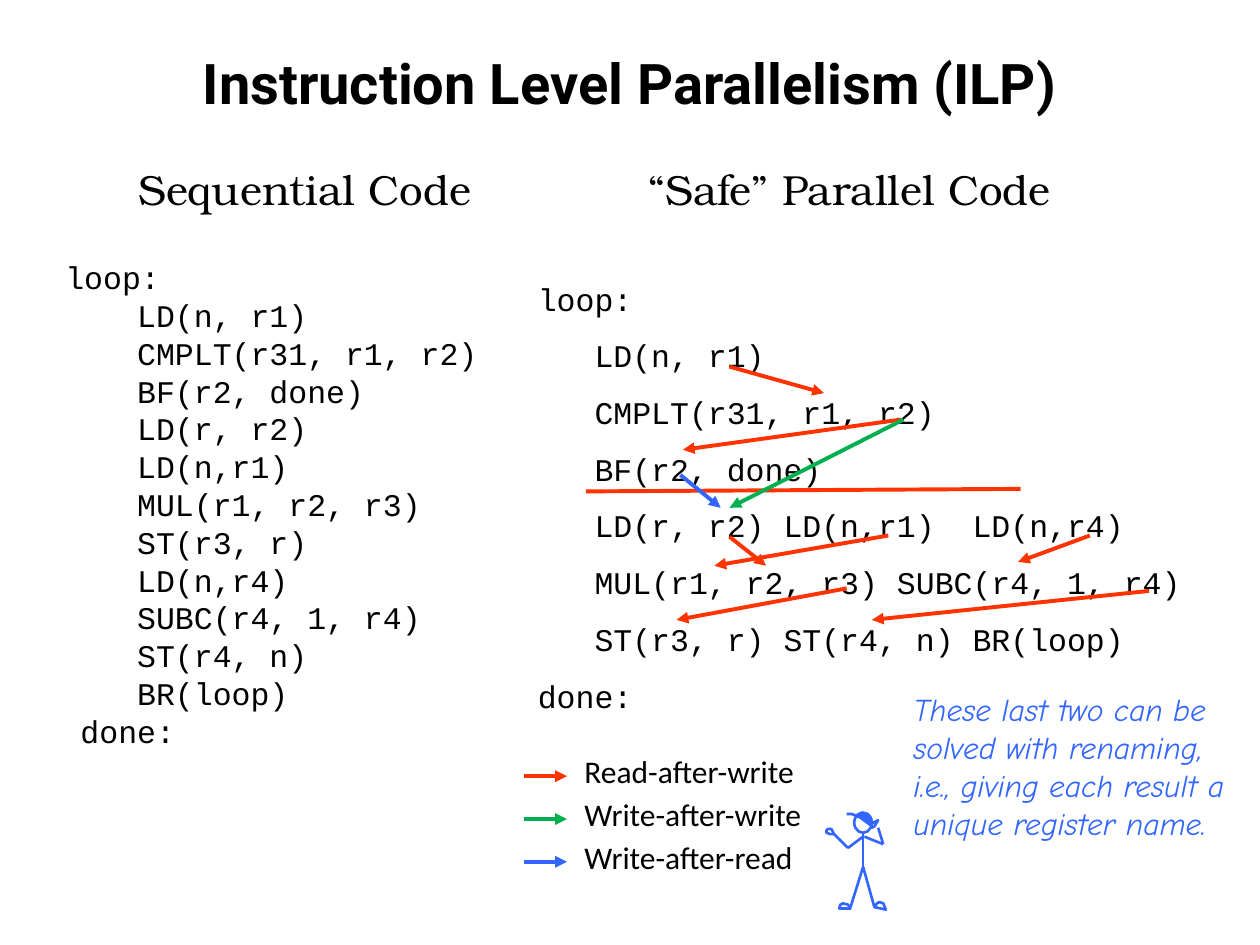
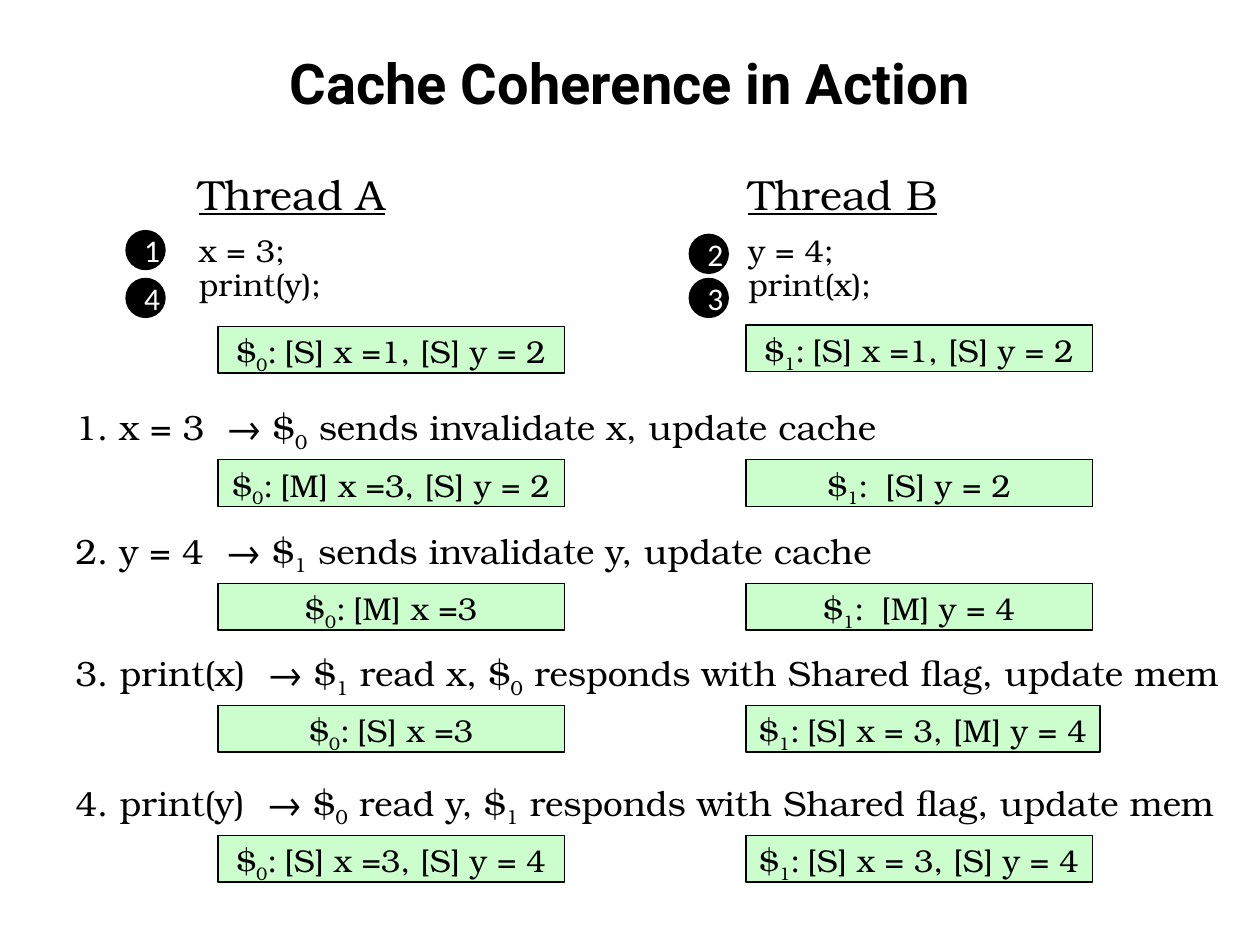
from itertools import pairwise

from lxml import etree
from pptx import Presentation
from pptx import util as u
from pptx.dml.color import RGBColor
from pptx.enum import shapes, text
from pptx.oxml.ns import qn

COLORS = {
    "ink": "000000",
    "paper": "FFFFFF",
    "read_after_write": "FF3300",
    "write_after_write": "00B050",
    "write_after_read": "3266FF",
    "figure": "3366FF",
    "cache": "CCFDCC",
}
TITLE, SERIF, CODE, NOTE, LABEL = (
    "Roboto", "TeX Gyre Bonum", "Courier New", "Comic Neue", "Calibri")


def rgb(name):
    return RGBColor.from_string(COLORS[name])


# Shared text and line helpers
def style(paragraph, font, size, color="ink", **flags):
    for run in paragraph.runs:
        run.font.name = font
        run.font.size = u.Pt(size)
        run.font.color.rgb = rgb(color)
        for flag, value in flags.items():
            setattr(run.font, flag, value)


def add_text(slide, box, content, font, size, color="ink", wrap=False, **flags):
    frame = slide.shapes.add_textbox(*map(u.Inches, box)).text_frame
    frame.text = content
    frame.word_wrap = wrap
    frame.auto_size = text.MSO_AUTO_SIZE.SHAPE_TO_FIT_TEXT
    for paragraph in frame.paragraphs:
        style(paragraph, font, size, color, **flags)
    return frame


def write_subscripts(paragraph, content, size):
    """The character after each underscore becomes a subscript."""
    first, *others = content.split("_")
    pieces = [(first, False)]
    for other in others:
        pieces += [(other[0], True), (other[1:], False)]
    for piece, lowered in pieces:
        run = paragraph.add_run()
        run.text = piece
        if lowered:
            run._r.get_or_add_rPr().set("baseline", "-25000")
    style(paragraph, SERIF, size)


def add_line(slide, start, end, color, width=2.25, arrow=False):
    line = slide.shapes.add_connector(
        shapes.MSO_CONNECTOR.STRAIGHT, *map(u.Inches, (*start, *end)))
    line.line.color.rgb = rgb(color)
    line.line.width = u.Pt(width)
    if arrow:
        outline = line.line._get_or_add_ln()
        etree.SubElement(outline, qn("a:tailEnd"), type="triangle")
    etree.SubElement(line._element.spPr, qn("a:effectLst"))


def paint(shape, fill, line, width):
    shape.shadow.inherit = False
    if fill:
        shape.fill.solid()
        shape.fill.fore_color.rgb = rgb(fill)
    else:
        shape.fill.background()
    shape.line.color.rgb = rgb(line)
    shape.line.width = u.Pt(width)


def add_titled_slide(deck, title):
    slide = deck.slides.add_slide(deck.slide_layouts[6])
    frame = add_text(slide, (0.5, 0.3, 9, 0.7), title, TITLE, 32, wrap=True, bold=True)
    frame.auto_size = text.MSO_AUTO_SIZE.NONE
    frame.vertical_anchor = text.MSO_ANCHOR.MIDDLE
    frame.paragraphs[0].alignment = text.PP_ALIGN.CENTER
    return slide


# Slide 1: instruction level parallelism
SEQUENTIAL = """loop:
   LD(n, r1)
   CMPLT(r31, r1, r2)
   BF(r2, done)
   LD(r, r2)
   LD(n,r1)
   MUL(r1, r2, r3)
   ST(r3, r)
   LD(n,r4)
   SUBC(r4, 1, r4)
   ST(r4, n)
   BR(loop)
done:"""

PARALLEL = """loop:
   LD(n, r1)
   CMPLT(r31, r1, r2)
   BF(r2, done)
   LD(r, r2) LD(n,r1)  LD(n,r4)
   MUL(r1, r2, r3) SUBC(r4, 1, r4)
   ST(r3, r) ST(r4, n) BR(loop)
done:"""

# Start and end of each dependence, measured from the corner of the parallel code
DEPENDENCES = {
    "read_after_write": [
        ((1.62, 0.89), (2.37, 1.10)),
        ((2.98, 1.31), (1.25, 1.55)),
        ((1.62, 2.24), (1.91, 2.47)),
        ((2.88, 2.23), (1.50, 2.47)),
        ((4.48, 2.23), (3.91, 2.44)),
        ((2.55, 2.65), (1.20, 2.90)),
        ((4.95, 2.67), (2.75, 2.90)),
    ],
    "write_after_write": [((3.00, 1.31), (1.62, 2.01))],
    "write_after_read": [((1.23, 1.75), (1.55, 2.01))],
}


def sequential_code(slide, left, top):
    frame = add_text(slide, (left, top, 3.68, 4.38), SEQUENTIAL, CODE, 18)
    for paragraph in frame.paragraphs[1:]:
        properties = paragraph._p.get_or_add_pPr()
        properties.set("marL", str(u.Inches(0.12)))
        properties.set("indent", "0")


def parallel_code(slide, left, top):
    frame = add_text(slide, (left, top, 5.42, 3.68), PARALLEL, CODE, 18, wrap=True)
    for paragraph in frame.paragraphs:
        paragraph.line_spacing = 1.5

    def place(point):
        return left + point[0], top + point[1]

    # Branch barrier
    add_line(slide, place((0.48, 1.88)), place((3.93, 1.86)), "read_after_write")
    for kind, arrows in DEPENDENCES.items():
        for start, end in arrows:
            add_line(slide, place(start), place(end), kind, arrow=True)


def dependence_legend(slide, left, top):
    for row, kind in enumerate(DEPENDENCES):
        y = top + row * 0.34
        add_line(slide, (left, y + 0.24), (left + 0.34, y + 0.24), kind, arrow=True)
        label = kind.replace("_", "-").capitalize()
        add_text(slide, (left + 0.38, y, 1.95, 0.4), label, LABEL, 18)


def stick_figure(slide, left, top):
    limbs = [
        [(0.29, 0.16), (0.29, 0.43), (0.19, 0.75)],
        [(0.29, 0.43), (0.38, 0.75)],
        [(0.29, 0.19), (0.17, 0.28), (0.06, 0.17)],
        [(0.30, 0.19), (0.45, 0.25), (0.41, 0.12)],
    ]
    left_foot = [(0.19, 0.76), (0.10, 0.76), (0.11, 0.73), (0.13, 0.72), (0.17, 0.73)]
    right_foot = [(0.38, 0.75), (0.47, 0.77), (0.45, 0.72), (0.42, 0.71), (0.40, 0.72)]
    left_hand = [(0.06, 0.17), (0.04, 0.13), (0.01, 0.13), (0, 0.14), (0, 0.16), (0.03, 0.17)]
    right_hand = [(0.41, 0.06), (0.38, 0.11), (0.36, 0.12), (0.35, 0.09)]
    brim = [(0.35, 0.10), (0.27, 0.04), (0.20, 0.01), (0.16, 0.01)]
    cap = [(0.36, 0.09), (0.35, 0.04), (0.32, 0.01), (0.28, 0), (0.25, 0.02), (0.30, 0.06)]

    def place(point):
        return left + point[0], top + point[1]

    for limb in limbs:
        for start, end in pairwise(limb):
            add_line(slide, place(start), place(end), "figure", 1.5)
    head = slide.shapes.add_shape(
        shapes.MSO_SHAPE.OVAL, *map(u.Inches, (*place((0.22, 0)), 0.14, 0.16)))
    paint(head, None, "figure", 1.5)
    for outline in (left_foot, right_foot, left_hand, right_hand, brim, cap):
        corners = [tuple(map(u.Inches, place(point))) for point in outline]
        builder = slide.shapes.build_freeform(*corners[0])
        builder.add_line_segments(corners[1:], close=outline is not brim)
        paint(builder.convert_to_shape(), "figure" if outline is cap else None, "figure", 1.5)


def parallelism_slide(deck):
    slide = add_titled_slide(deck, "Instruction Level Parallelism (ILP)")
    add_text(slide, (1, 1.25, 2.87, 0.5), "Sequential Code", SERIF, 24)
    add_text(slide, (5.05, 1.25, 3.5, 0.5), "“Safe” Parallel Code", SERIF, 24)
    sequential_code(slide, 0.42, 2)
    parallel_code(slide, 4.17, 2.02)
    dependence_legend(slide, 4.16, 5.92)
    add_text(slide, (7.15, 5.43, 2.72, 1.62),
             "These last two can be solved with renaming, i.e., giving each "
             "result a unique register name.",
             NOTE, 18, "write_after_read", wrap=True, italic=True)
    stick_figure(slide, 6.56, 6.45)


# Slide 2: cache coherence
STEPS = [
    (3.17, "1. x = 3  → $_0 sends invalidate x, update cache", 6.64,
     "[M] x =3, [S] y = 2", " [S] y = 2"),
    (4.15, "2. y = 4  → $_1 sends invalidate y, update cache", 6.62,
     "[M] x =3", " [M] y = 4"),
    (5.12, "3. print(x)  → $_1 read x, $_0 responds with Shared flag, update mem", 9.35,
     "[S] x =3", "[S] x = 3, [M] y = 4"),
    (6.15, "4. print(y)  → $_0 read y, $_1 responds with Shared flag, update mem", 9.35,
     "[S] x =3, [S] y = 4", "[S] x = 3, [S] y = 4"),
]


def order_badge(slide, left, top, number):
    badge = slide.shapes.add_shape(
        shapes.MSO_SHAPE.OVAL, *map(u.Inches, (left, top, 0.31, 0.31)))
    paint(badge, "ink", "ink", 0.75)
    badge.text_frame.text = number
    badge.text_frame.paragraphs[0].alignment = text.PP_ALIGN.CENTER
    style(badge.text_frame.paragraphs[0], LABEL, 18, "paper")


def thread_column(slide, left, top, name, code, badges):
    frame = add_text(slide, (left, top, 2.88, 1.16), f"{name}\n{code}", SERIF, 18, wrap=True)
    heading, statements = frame.paragraphs
    style(heading, SERIF, 24, underline=True)
    heading.line_spacing = statements.line_spacing = 0.9
    statements.space_before = u.Pt(9)
    for number, x, y in badges:
        order_badge(slide, left + x, top + y, number)


def cache_state(slide, left, top, cache, state, width=2.75):
    box = slide.shapes.add_shape(
        shapes.MSO_SHAPE.RECTANGLE, *map(u.Inches, (left, top, width, 0.37)))
    paint(box, "cache", "ink", 0.75)
    box.text_frame.vertical_anchor = text.MSO_ANCHOR.TOP
    paragraph = box.text_frame.paragraphs[0]
    paragraph.alignment = text.PP_ALIGN.CENTER
    paragraph.line_spacing = 0.9
    tabs = etree.SubElement(paragraph._p.get_or_add_pPr(), qn("a:tabLst"))
    etree.SubElement(tabs, qn("a:tab"), pos=str(u.Inches(0.38)), algn="l")
    write_subscripts(paragraph, f"$_{cache}:\t{state}", 18)


def coherence_step(slide, top, action, width, state_a, state_b):
    frame = add_text(slide, (0.5, top, width, 0.44), "", SERIF, 20)
    write_subscripts(frame.paragraphs[0], action, 20)
    cache_state(slide, 1.73, top + 0.48, 0, state_a)
    wide = 2.81 if action.startswith("3") else 2.75
    cache_state(slide, 5.92, top + 0.48, 1, state_b, wide)


def coherence_slide(deck):
    slide = add_titled_slide(deck, "Cache Coherence in Action")
    thread_column(slide, 1.48, 1.33, "Thread A", "x = 3;\vprint(y);",
                  [("1", -0.48, 0.5), ("4", -0.48, 0.88)])
    thread_column(slide, 5.84, 1.33, "Thread B", "y = 4;\vprint(x);",
                  [("2", -0.37, 0.53), ("3", -0.37, 0.88)])
    cache_state(slide, 1.73, 2.59, 0, "[S] x =1, [S] y = 2")
    cache_state(slide, 5.92, 2.58, 1, "[S] x =1, [S] y = 2")
    for step in STEPS:
        coherence_step(slide, *step)


def main():
    deck = Presentation()
    deck.slide_width, deck.slide_height = u.Inches(10), u.Inches(7.5)
    parallelism_slide(deck)
    coherence_slide(deck)
    deck.save("out.pptx")


if __name__ == "__main__":
    main()
